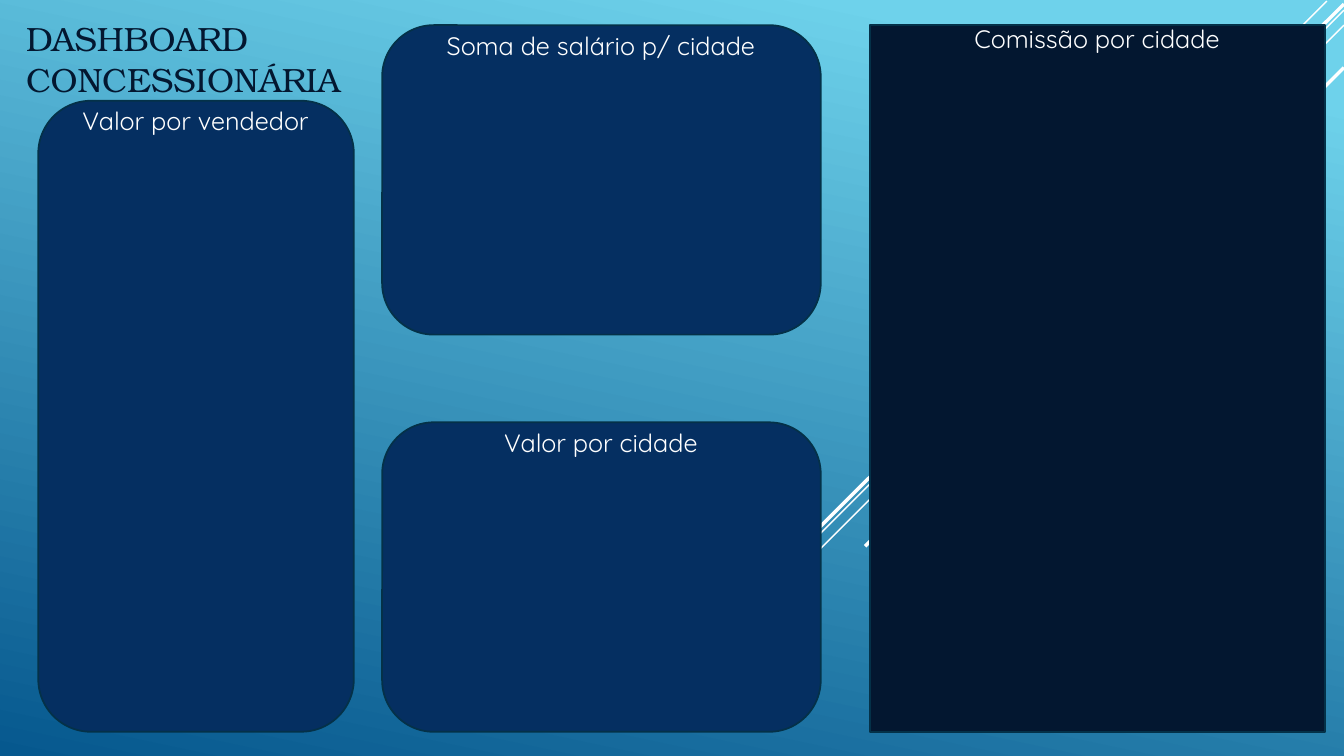
from lxml import etree
from pptx import Presentation
from pptx.dml.color import RGBColor
from pptx.enum import shapes, text
from pptx.oxml.ns import qn
from pptx.util import Inches, Pt

SKY = RGBColor(0x6E, 0xD2, 0xEB)
OCEAN = RGBColor(0x06, 0x58, 0x8E)
NAVY = RGBColor(0x05, 0x2F, 0x61)
INK = RGBColor(0x03, 0x17, 0x30)
EDGE = RGBColor(0x04, 0x31, 0x48)
WHITE = RGBColor(0xFF, 0xFF, 0xFF)

ROUND = shapes.MSO_SHAPE.ROUNDED_RECTANGLE
RECT = shapes.MSO_SHAPE.RECTANGLE


class Dashboard:
    frame_format = {"word_wrap": True, "vertical_anchor": text.MSO_ANCHOR.TOP,
                    "margin_left": Inches(0.1), "margin_right": Inches(0.1),
                    "margin_top": Inches(0.05), "margin_bottom": Inches(0.05)}
    label_font = {"name": "Quicksand", "size": Pt(18)}
    title_font = {"name": "TeX Gyre Bonum", "size": Pt(24), "bold": False}

    def __init__(self, prs):
        self.s = prs.slides.add_slide(prs.slide_layouts[5])

    def apply(self, target, values):
        for name, value in values.items():
            setattr(target, name, value)

    def background(self, colors, positions, angle):
        fill = self.s.background.fill
        fill.gradient()
        fill.gradient_angle = angle
        for stop, color, position in zip(fill.gradient_stops, colors, positions):
            stop.color.rgb = color
            stop.position = position

    def set_text(self, sp, lines, font, color, align):
        tf = sp.text_frame
        self.apply(tf, self.frame_format)
        tf.auto_size = text.MSO_AUTO_SIZE.NONE
        for i, line in enumerate(lines):
            p = tf.add_paragraph() if i else tf.paragraphs[0]
            self.apply(p, {"alignment": align, "line_spacing": 1.0,
                           "space_before": Pt(0)})
            r = p.add_run()
            r.text = line
            self.apply(r.font, font)
            r.font.color.rgb = color

    def title(self, lines, box):
        sp = self.s.shapes.title
        self.apply(sp, dict(zip(("left", "top", "width", "height"), map(Inches, box))))
        self.set_text(sp, lines, self.title_font, INK, text.PP_ALIGN.LEFT)

    def stripe(self, x1, y1, x2, y2, width):
        c = self.s.shapes.add_connector(shapes.MSO_CONNECTOR.STRAIGHT,
                                        *map(Inches, (x1, y1, x2, y2)))
        c.line.color.rgb = WHITE
        c.line.width = Pt(width)
        etree.SubElement(c.element.spPr, qn("a:effectLst"))

    def panel(self, kind, box, color):
        sp = self.s.shapes.add_shape(kind, *map(Inches, box))
        sp.shadow.inherit = False
        sp.fill.solid()
        sp.fill.fore_color.rgb = color
        sp.line.color.rgb = EDGE
        sp.line.width = Pt(1.25)

    def label(self, caption, left, top, width):
        sp = self.s.shapes.add_textbox(*map(Inches, (left, top, width, 0.4)))
        self.set_text(sp, [caption], self.label_font, WHITE, text.PP_ALIGN.CENTER)


def main():
    prs = Presentation()
    prs.slide_width, prs.slide_height = Inches(13.33), Inches(7.5)
    board = Dashboard(prs)
    board.background((SKY, OCEAN), (0.1, 1.0), 258)

    for stripe in ((13.16, 0.01, 9, 4.18, 1),
                   (13.33, 0.1, 6.68, 6.75, 1),
                   (13.33, 0.25, 7.91, 5.67, 1),
                   (13.33, 0.04, 8.02, 5.34, 2.5),
                   (13.33, 0.67, 8.58, 5.42, 2.5)):
        board.stripe(*stripe)

    for kind, box, color, caption, place in (
            (ROUND, (0.38, 1, 3.13, 6.26), NAVY, "Valor por vendedor", (0.65, 1, 2.58)),
            (ROUND, (3.79, 4.19, 4.35, 3.07), NAVY, "Valor por cidade", (4.67, 4.19, 2.58)),
            (RECT, (8.63, 0.25, 4.51, 7.01), INK, "Comissão por cidade", (9.39, 0.18, 2.98)),
            (ROUND, (3.79, 0.25, 4.35, 3.07), NAVY, "Soma de salário p/ cidade", (4.28, 0.25, 3.36))):
        board.panel(kind, box, color)
        board.label(caption, *place)

    board.title(("DASHBOARD", "CONCESSIONÁRIA"), (0.16, 0.13, 3.56, 0.91))
    prs.save("out.pptx")


if __name__ == "__main__":
    main()
